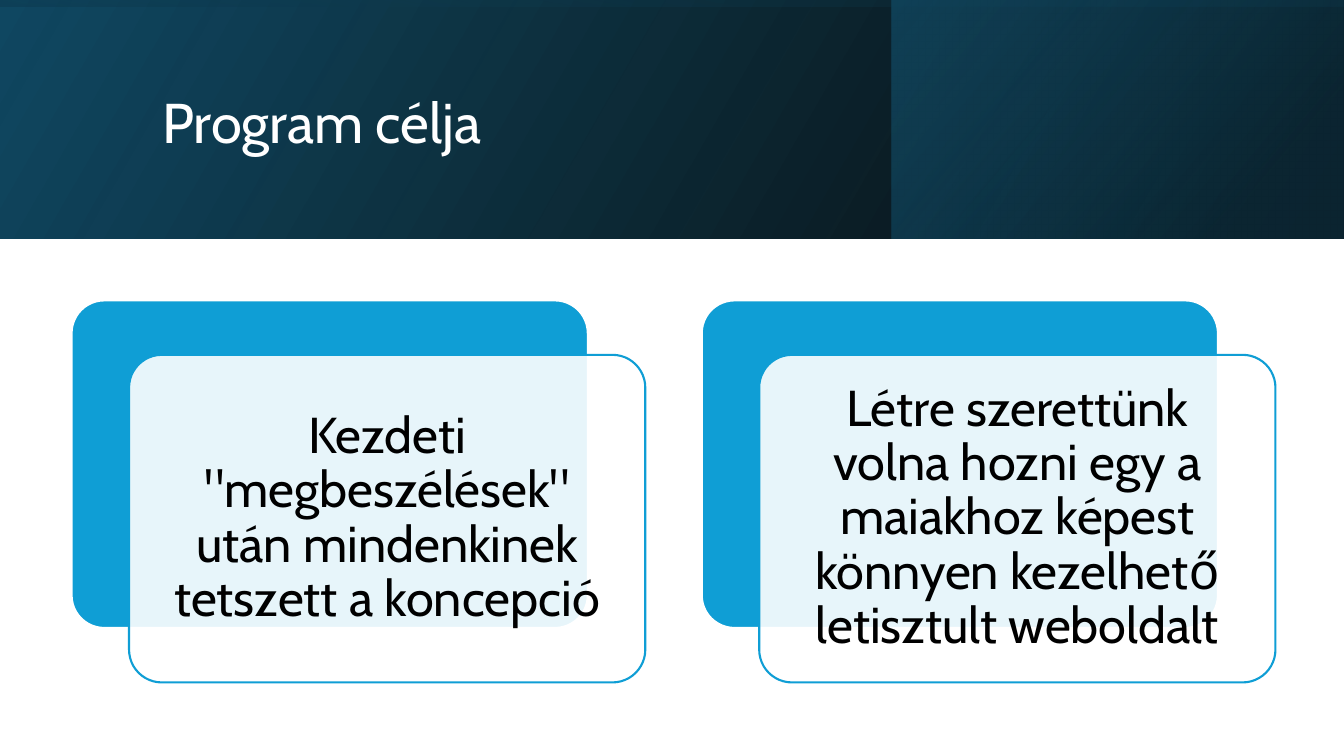
import dataclasses

import pptx
import pptx.dml.color
import pptx.enum.shapes
import pptx.enum.text
import pptx.oxml
import pptx.oxml.ns
import pptx.util
from pptx.util import Inches

SHAPE = pptx.enum.shapes.MSO_SHAPE


@dataclasses.dataclass(frozen=True)
class Theme:
    font: str = "Cabin"
    title_size: int = 40
    card_size: int = 36
    white: str = "FFFFFF"
    black: str = "000000"
    accent: str = "0F9ED5"
    navy: str = "104862"
    deep: str = "0B3041"
    teal: str = "156082"


class SlideBuilder:
    def __init__(self, prs, theme):
        self.theme = theme
        self.slide = prs.slides.add_slide(prs.slide_layouts[5])

    def rgb(self, color):
        return pptx.dml.color.RGBColor.from_string(color)

    def add_shape(self, kind, left, top, width, height):
        sp = self.slide.shapes.add_shape(
            kind, Inches(left), Inches(top), Inches(width), Inches(height))
        sp.shadow.inherit = False
        return sp

    def band(self, left, top, width, height, stops, angle, rotation=0):
        sp = self.add_shape(SHAPE.RECTANGLE, left, top, width, height)
        sp.rotation = rotation
        sp.line.fill.background()
        sp_pr = sp.element.spPr
        sp_pr.xfrm.set("flipH", "1")
        gs = "".join(
            f'<a:gs pos="{pos * 1000}"><a:srgbClr val="{color}">'
            f'<a:alpha val="{alpha * 1000}"/></a:srgbClr></a:gs>'
            for pos, color, alpha in stops)
        sp_pr.insert(2, pptx.oxml.parse_xml(
            f'<a:gradFill {pptx.oxml.ns.nsdecls("a")} rotWithShape="1">'
            f'<a:gsLst>{gs}</a:gsLst>'
            f'<a:lin ang="{angle * 60000}" scaled="0"/></a:gradFill>'))

    def text(self, tf, text, size, color, align):
        tf.word_wrap = True
        tf.auto_size = pptx.enum.text.MSO_AUTO_SIZE.NONE
        tf.vertical_anchor = pptx.enum.text.MSO_ANCHOR.MIDDLE
        p = tf.paragraphs[0]
        p.text = text
        p.alignment = align
        p.line_spacing = 0.9
        p.font.name = self.theme.font
        p.font.size = pptx.util.Pt(size)
        p.font.color.rgb = self.rgb(color)

    def title(self, text, left, top, width, height):
        sp = self.slide.shapes.title
        sp.left, sp.top = Inches(left), Inches(top)
        sp.width, sp.height = Inches(width), Inches(height)
        self.text(sp.text_frame, text, self.theme.title_size,
                  self.theme.white, pptx.enum.text.PP_ALIGN.LEFT)
        self.slide.shapes.element.append(sp.element)

    def panel(self, left, top, fill, line, opacity=100):
        sp = self.add_shape(SHAPE.ROUNDED_RECTANGLE, left, top, 5.12, 3.25)
        sp.adjustments[0] = 0.1
        sp.fill.solid()
        sp.fill.fore_color.rgb = self.rgb(fill)
        sp.line.color.rgb = self.rgb(line)
        sp.line.width = pptx.util.Pt(1.5)
        if opacity < 100:
            clr = sp.element.spPr.find(
                "/".join(map(pptx.oxml.ns.qn, ("a:solidFill", "a:srgbClr"))))
            clr.append(pptx.oxml.parse_xml(
                f'<a:alpha {pptx.oxml.ns.nsdecls("a")} val="{opacity * 1000}"/>'))
        return sp

    def card(self, text, left, top):
        t = self.theme
        self.panel(left, top, t.accent, t.white)
        sp = self.panel(left + 0.57, top + 0.54, t.white, t.accent, 90)
        tf = sp.text_frame
        tf.margin_left = tf.margin_right = Inches(0.15)
        tf.margin_top = tf.margin_bottom = Inches(0.15)
        self.text(tf, text, t.card_size, t.black,
                  pptx.enum.text.PP_ALIGN.CENTER)


def main():
    prs = pptx.Presentation()
    prs.slide_width, prs.slide_height = Inches(13.33), Inches(7.5)
    t = Theme()
    s = SlideBuilder(prs, t)

    s.band(0, 0, 13.33, 2.37, [(0, t.black, 96), (100, t.navy, 100)], 330)
    s.band(8.84, 0, 4.48, 2.37, [(19, t.deep, 68), (100, t.teal, 48)], 320)
    s.band(5.48, -5.48, 2.37, 13.33,
           [(23, t.navy, 16), (99, t.black, 45)], 350, rotation=270)
    s.title("Program célja", 1.51, 0.38, 10.63, 1.72)

    cards = (
        'Kezdeti "megbeszélések" után mindenkinek tetszett a koncepció',
        "Létre szerettünk volna hozni egy a maiakhoz képest könnyen "
        "kezelhető letisztult weboldalt",
    )
    for i, text in enumerate(cards):
        s.card(text, 0.71 + i * 6.25, 2.98)

    prs.save("out.pptx")


if __name__ == "__main__":
    main()
